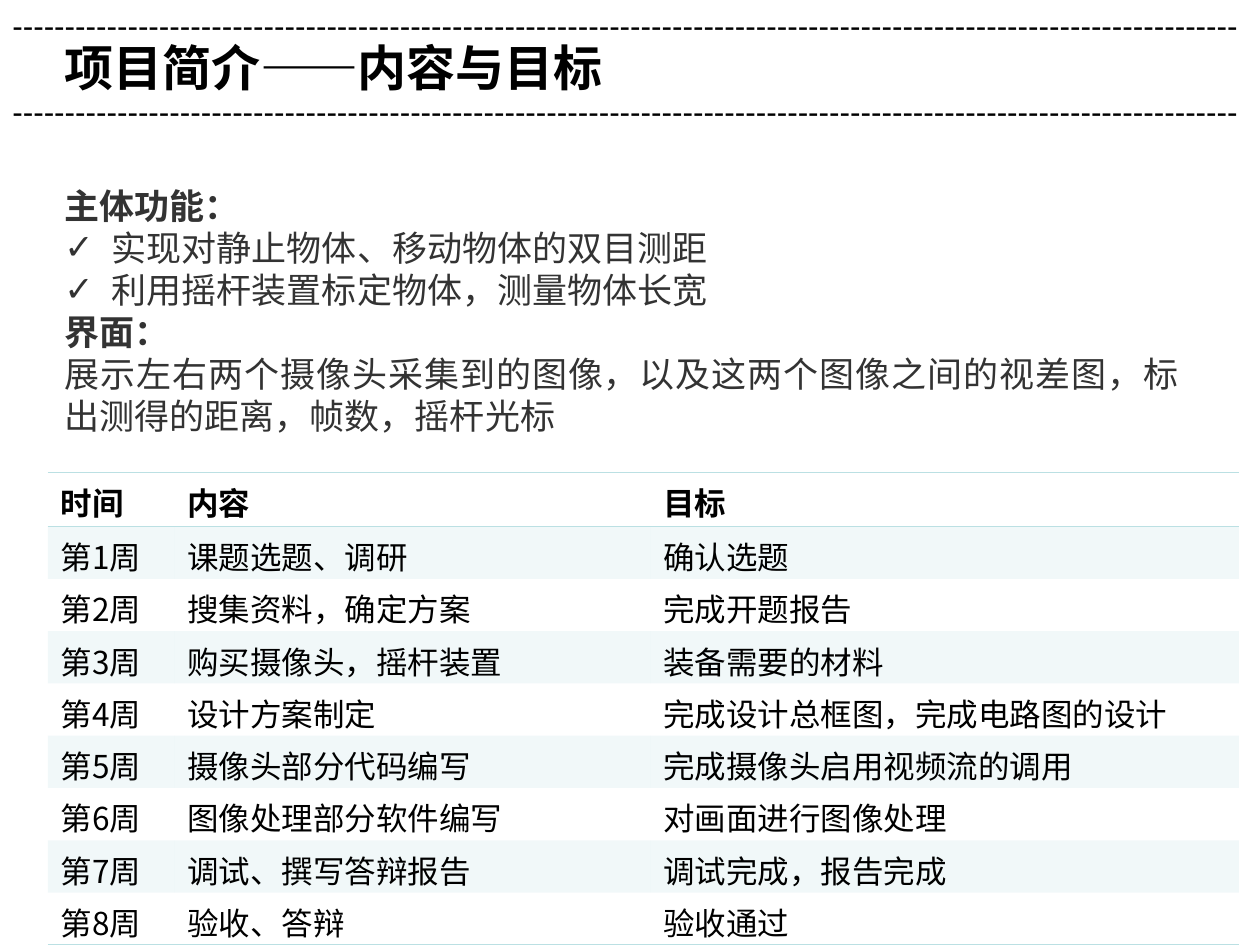
from dataclasses import dataclass

from lxml import etree
from pptx import Presentation
from pptx.dml.color import RGBColor
from pptx.enum.text import MSO_ANCHOR, MSO_AUTO_SIZE, PP_ALIGN
from pptx.oxml.ns import qn
from pptx.util import Pt

LEFT, JUSTIFY = PP_ALIGN.LEFT, PP_ALIGN.JUSTIFY
TOP = MSO_ANCHOR.TOP
NO_FIT = MSO_AUTO_SIZE.NONE
TITLE_AND_CONTENT = 1
PLAIN_TABLE = "{2D5ABB26-0587-4C30-8999-92F81FD0307C}"


@dataclass(frozen=True)
class Theme:
    ink: str = "000000"
    body_ink: str = "333333"
    accent: str = "BBE0E3"
    band_alpha: int = 20
    heading_font: str = "Arial"
    text_font: str = "Noto Sans CJK SC"
    title_size: int = 28
    body_size: int = 20
    small_size: int = 18


THEME = Theme()

TITLE = "项目简介——内容与目标"
# Text and kind of each body paragraph
BODY = [
    ("主体功能：", "heading"),
    ("实现对静止物体、移动物体的双目测距", "check"),
    ("利用摇杆装置标定物体，测量物体长宽", "check"),
    ("界面：", "heading"),
    ("展示左右两个摄像头采集到的图像，以及这两个图像之间的视差图，"
     "标出测得的距离，帧数，摇杆光标", "plain"),
]
HEADER = ("时间", "内容", "目标")
WEEKS = [
    ("课题选题、调研", "确认选题"),
    ("搜集资料，确定方案", "完成开题报告"),
    ("购买摄像头，摇杆装置", "装备需要的材料"),
    ("设计方案制定", "完成设计总框图，完成电路图的设计"),
    ("摄像头部分代码编写", "完成摄像头启用视频流的调用"),
    ("图像处理部分软件编写", "对画面进行图像处理"),
    ("调试、撰写答辩报告", "调试完成，报告完成"),
    ("验收、答辩", "验收通过"),
]
COLUMN_WIDTHS = (72.5, 272, 336)
HEADER_HEIGHT, WEEK_HEIGHT = 30.9, 29.9


def write(para, text, *, size, font=THEME.text_font, color=THEME.ink,
          east_asian=THEME.text_font, bold=False, align=LEFT):
    """Put one formatted span of text into a paragraph."""
    para.alignment = align
    para.space_before = Pt(0)
    span = para.add_run()
    span.text = text
    span.font.size = Pt(size)
    span.font.bold = bold
    span.font.name = font
    span.font.color.rgb = RGBColor.from_string(color)
    etree.SubElement(span.font._element, qn("a:ea"), typeface=east_asian)


def place(shape, left, top, width, height):
    shape.left, shape.top = Pt(left), Pt(top)
    shape.width, shape.height = Pt(width), Pt(height)
    frame = shape.text_frame
    frame.word_wrap = True
    frame.auto_size = NO_FIT
    frame.vertical_anchor = TOP
    return frame


def set_bullet(para, mark=None, indent=0):
    props = para._p.get_or_add_pPr()
    props.set("marL", str(Pt(indent)))
    props.set("indent", str(-Pt(indent)))
    if mark:
        etree.SubElement(props, qn("a:buChar")).set("char", mark)
    else:
        etree.SubElement(props, qn("a:buNone"))


def add_dash_rule(page, top):
    box = page.shapes.add_textbox(0, 0, 0, 0)
    frame = place(box, 0, top, 720, 29)
    write(frame.paragraphs[0], "-" * 117, size=THEME.small_size,
          font=THEME.heading_font)


def fill_title(page):
    frame = place(page.shapes.title, 29.6, 18, 564, 41)
    write(frame.paragraphs[0], TITLE, size=THEME.title_size,
          font=THEME.heading_font, bold=True)


def fill_body(page):
    frame = place(page.placeholders[1], 29.6, 102, 651, 199)
    for index, (text, kind) in enumerate(BODY):
        para = frame.add_paragraph() if index else frame.paragraphs[0]
        heading = kind == "heading"
        font = THEME.heading_font if heading else THEME.text_font
        write(para, text, size=THEME.body_size, color=THEME.body_ink,
              font=font, east_asian=font, bold=heading,
              align=JUSTIFY if index else LEFT)
        if kind == "check":
            set_bullet(para, "✓", 27)
        else:
            set_bullet(para)


def add_border(cell, side):
    """Draw one cell edge; lines must precede the fill in tcPr."""
    props = cell._tc.get_or_add_tcPr()
    line = etree.Element(qn(f"a:{side}"), w=str(Pt(1)))
    fill = etree.SubElement(line, qn("a:solidFill"))
    etree.SubElement(fill, qn("a:srgbClr"), val=THEME.accent)
    props.insert(len(props.findall(qn("a:lnT"))), line)


def shade(cell, banded):
    if not banded:
        cell.fill.background()
        return
    cell.fill.solid()
    cell.fill.fore_color.rgb = RGBColor.from_string(THEME.accent)
    color = cell._tc.tcPr.find(f".//{qn('a:srgbClr')}")
    etree.SubElement(color, qn("a:alpha"), val=str(THEME.band_alpha * 1000))


def add_schedule(page):
    rows = [HEADER] + [(f"第{week}周", *entry)
                       for week, entry in enumerate(WEEKS, 1)]
    last = len(rows) - 1
    holder = page.shapes.add_table(
        len(rows), len(HEADER), Pt(27.4), Pt(270), Pt(sum(COLUMN_WIDTHS)),
        Pt(HEADER_HEIGHT + WEEK_HEIGHT * last))
    table = holder.table
    table.horz_banding = False
    table._tbl.tblPr.find(qn("a:tableStyleId")).text = PLAIN_TABLE
    for column, width in zip(table.columns, COLUMN_WIDTHS):
        column.width = Pt(width)

    for row_index, texts in enumerate(rows):
        header = row_index == 0
        table.rows[row_index].height = Pt(HEADER_HEIGHT if header
                                          else WEEK_HEIGHT)
        for column_index, text in enumerate(texts):
            cell = table.cell(row_index, column_index)
            cell.margin_bottom = 0
            shade(cell, banded=row_index % 2 == 1)
            write(cell.text_frame.paragraphs[0], text, size=THEME.small_size,
                  font=THEME.heading_font if header else THEME.text_font,
                  bold=header)
            if header:
                add_border(cell, "lnT")
            if row_index in (0, last):
                add_border(cell, "lnB")


def main():
    deck = Presentation()
    deck.slide_width, deck.slide_height = Pt(720), Pt(540)
    page = deck.slides.add_slide(deck.slide_layouts[TITLE_AND_CONTENT])

    # Title between two dashed rules
    fill_title(page)
    for top in (0, 49):
        add_dash_rule(page, top)

    # Functions and interface
    fill_body(page)

    # Weekly schedule
    add_schedule(page)
    deck.save("out.pptx")


if __name__ == "__main__":
    main()
